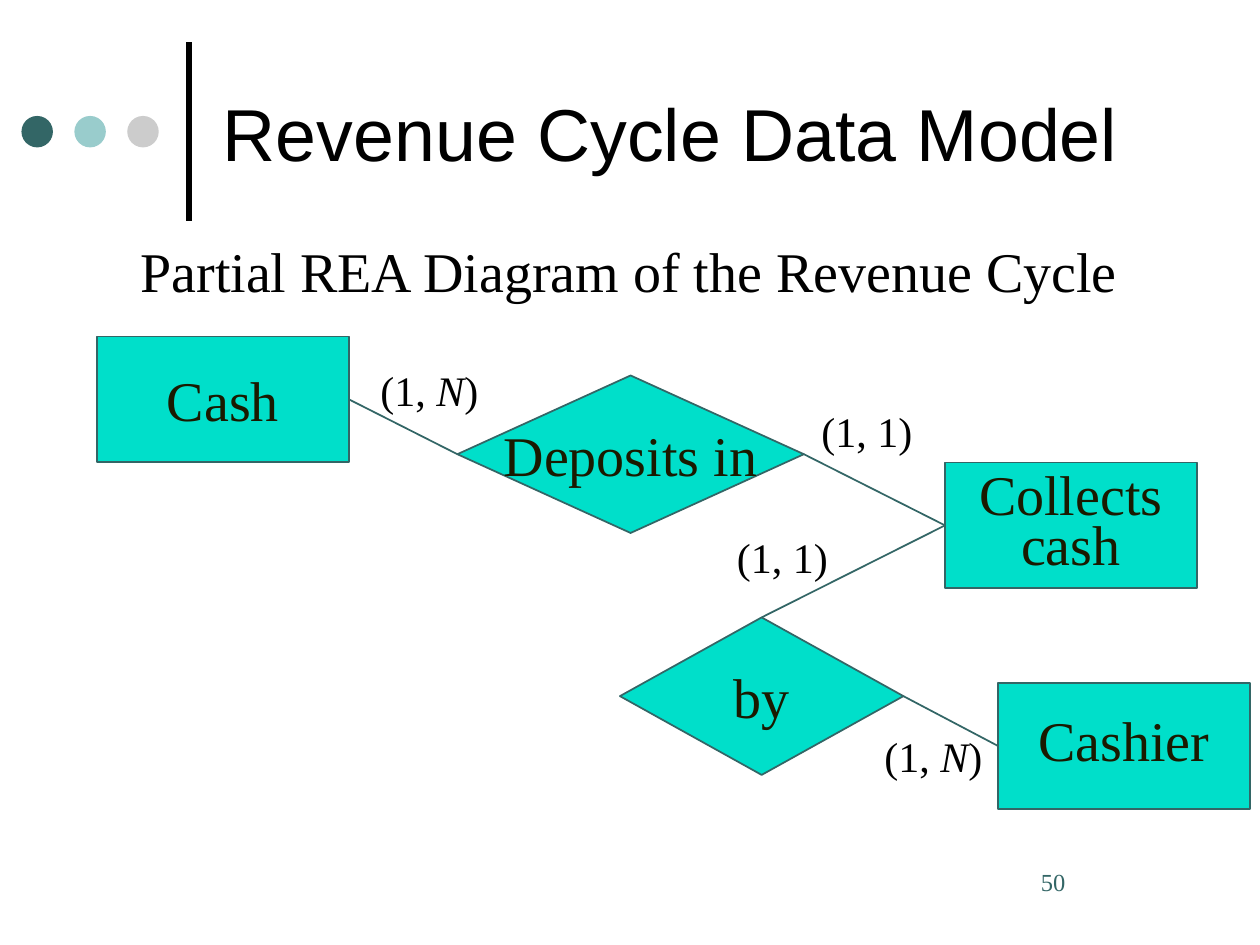
from pptx import Presentation
from pptx.dml.color import RGBColor
from pptx.enum.shapes import MSO_CONNECTOR, MSO_SHAPE
from pptx.enum.text import MSO_ANCHOR, PP_ALIGN
from pptx.oxml.xmlchemy import OxmlElement
from pptx.util import Inches, Pt

RECTANGLE, DIAMOND, OVAL = MSO_SHAPE.RECTANGLE, MSO_SHAPE.DIAMOND, MSO_SHAPE.OVAL
STRAIGHT = MSO_CONNECTOR.STRAIGHT
TOP, MIDDLE = MSO_ANCHOR.TOP, MSO_ANCHOR.MIDDLE
LEFT, CENTER = PP_ALIGN.LEFT, PP_ALIGN.CENTER
SITE = {"top": 0, "left": 1, "bottom": 2, "right": 3}

SERIF = "Times New Roman"
BLACK, TEAL, TURQUOISE, LABEL = "000000", "336666", "00DFCA", "1A1A00"
ENTITY_SIZE = (2, 1)

DOT_COLORS = [TEAL, "99CCCC", "CCCCCC"]
DOT_LEFT, DOT_TOP, DOT_SIZE, DOT_STEP = 0.17, 0.92, 0.25, 0.42

# name: (preset, lines, left, top, size, line spacing)
NODES = {
    "cash": (RECTANGLE, ["Cash"], 0.77, 2.67, ENTITY_SIZE, 1.0),
    "deposits": (DIAMOND, ["Deposits in"], 3.63, 2.98, (2.75, 1.25), 1.0),
    "collects": (RECTANGLE, ["Collects", "cash"], 7.5, 3.67, ENTITY_SIZE, 0.75),
    "by": (DIAMOND, ["by"], 4.92, 4.9, (2.25, 1.25), 1.0),
    "cashier": (RECTANGLE, ["Cashier"], 7.92, 5.42, ENTITY_SIZE, 0.75),
}
LINKS = [
    ("cash", "right", "deposits", "left"),
    ("deposits", "right", "collects", "left"),
    ("collects", "left", "by", "top"),
    ("by", "right", "cashier", "left"),
]
CARDINALITIES = [
    ("N", 2.92, 2.84),
    ("1", 6.42, 3.17),
    ("1", 5.75, 4.17),
    ("N", 6.92, 5.75),
]


def color(value):
    return RGBColor.from_string(value)


def write(shape, lines, size, font=SERIF, fill=BLACK, align=LEFT, anchor=TOP,
          spacing=None, wrap=True, indent=0):
    """Write lines; each is a string or a list of (text, italic) runs."""
    frame = shape.text_frame
    frame.word_wrap = wrap
    frame.vertical_anchor = anchor
    frame.margin_left = Inches(0.1 + indent)
    for index, line in enumerate(lines):
        paragraph = frame.add_paragraph() if index else frame.paragraphs[0]
        paragraph.alignment = align
        paragraph.line_spacing = spacing
        for text, italic in [(line, False)] if isinstance(line, str) else line:
            run = paragraph.add_run()
            run.text = text
            run.font.name = font
            run.font.size = Pt(size)
            run.font.italic = italic
            run.font.color.rgb = color(fill)


def add_text(slide, box, lines, size, **text_format):
    text_box = slide.shapes.add_textbox(*map(Inches, box))
    write(text_box, lines, size, **text_format)


def add_filled(slide, preset, box, fill, outline=None):
    shape = slide.shapes.add_shape(preset, *map(Inches, box))
    shape.shadow.inherit = False
    shape.fill.solid()
    shape.fill.fore_color.rgb = color(fill)
    if outline:
        shape.line.color.rgb = color(outline)
        shape.line.width = Pt(1)
    else:
        shape.line.fill.background()
    return shape


def add_line(slide, points, stroke, width):
    line = slide.shapes.add_connector(STRAIGHT, *map(Inches, points))
    line.line.color.rgb = color(stroke)
    line.line.width = Pt(width)
    line._element.spPr.append(OxmlElement("a:effectLst"))
    return line


def add_header(slide):
    add_line(slide, (1.5, 1.75, 1.5, 0.33), BLACK, 3)
    for index, fill in enumerate(DOT_COLORS):
        left = DOT_LEFT + index * DOT_STEP
        add_filled(slide, OVAL, (left, DOT_TOP, DOT_SIZE, DOT_SIZE), fill)
    add_text(slide, (1.67, 0.21, 7.67, 1.67), ["Revenue Cycle Data Model"], 42,
             font="Arial", anchor=MIDDLE)
    add_text(slide, (0.83, 1.83, 8.33, 0.63),
             ["Partial REA Diagram of the Revenue Cycle"], 32, align=CENTER)


def add_diagram(slide):
    shapes = {}
    for name, (preset, lines, left, top, size, spacing) in NODES.items():
        shapes[name] = add_filled(slide, preset, (left, top, *size), TURQUOISE, TEAL)
        write(shapes[name], lines, 32, fill=LABEL, align=CENTER, anchor=MIDDLE,
              spacing=spacing, wrap=False)
    for start, start_side, end, end_side in LINKS:
        link = add_line(slide, (0, 0, 1, 1), TEAL, 1)
        link.begin_connect(shapes[start], SITE[start_side])
        link.end_connect(shapes[end], SITE[end_side])
    for maximum, left, top in CARDINALITIES:
        runs = [("(1, ", False), (maximum, maximum == "N"), (")", False)]
        add_text(slide, (left, top, 1.08, 0.5), [runs], 24)


def main():
    presentation = Presentation()
    presentation.slide_width, presentation.slide_height = Inches(10), Inches(7.5)
    slide = presentation.slides.add_slide(presentation.slide_layouts[6])
    add_header(slide)
    add_diagram(slide)
    add_text(slide, (7.92, 6.83, 1.42, 0.5), ["50"], 14, fill=TEAL, indent=0.24)
    presentation.save("out.pptx")


if __name__ == "__main__":
    main()
